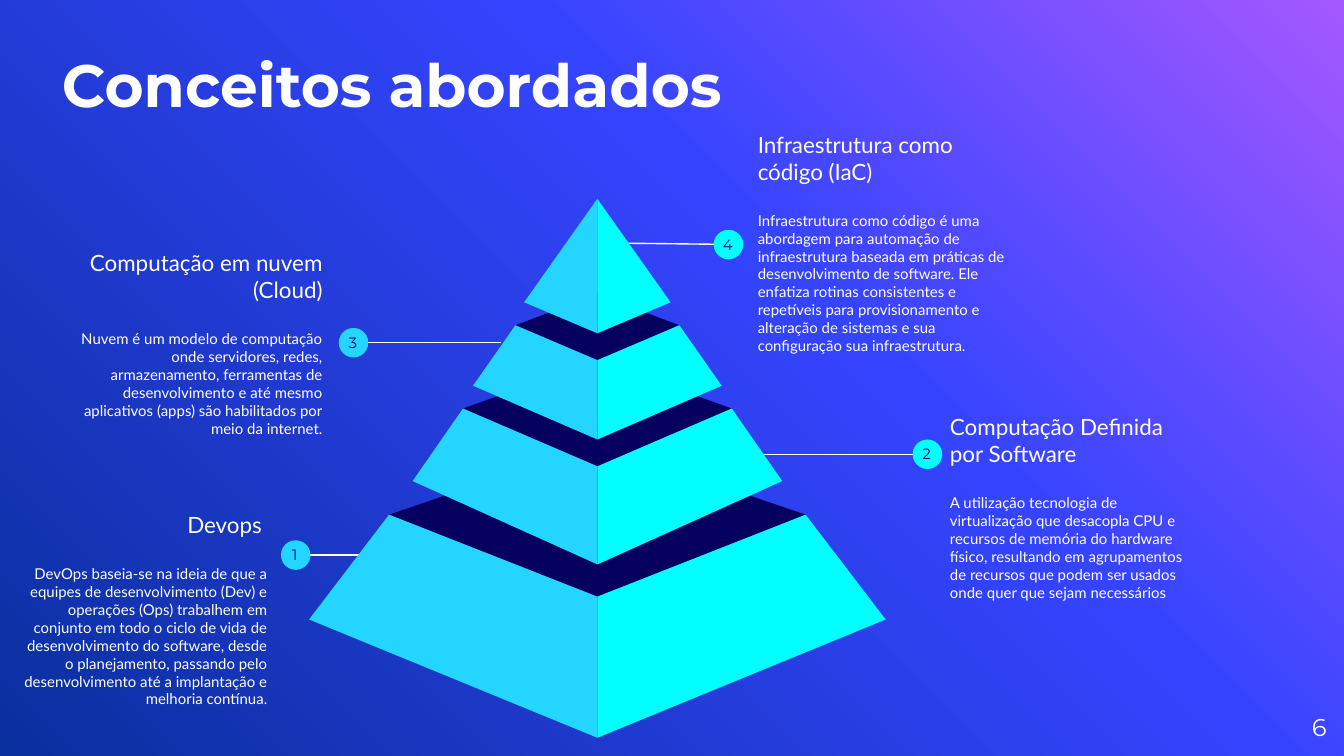
import copy

import pptx
import pptx.dml.color
import pptx.enum.shapes
import pptx.enum.text
import pptx.oxml
import pptx.oxml.ns
import pptx.util

Inches = pptx.util.Inches
Pt = pptx.util.Pt
RGBColor = pptx.dml.color.RGBColor
ALIGN = pptx.enum.text.PP_ALIGN
ANCHOR = pptx.enum.text.MSO_ANCHOR

WHITE = RGBColor(0xFF, 0xFF, 0xFF)
SKY = RGBColor(0x24, 0xD6, 0xFF)
CYAN = RGBColor(0x00, 0xFF, 0xFF)
NAVY = RGBColor(0x05, 0x00, 0x60)
SHADES = [
    (0, RGBColor(0xA4, 0x58, 0xFF)),
    (0.39, RGBColor(0x35, 0x44, 0xFF)),
    (1, RGBColor(0x0A, 0x2F, 0x9E)),
]

NOTES = [
    dict(box=(0.05, 3.78, 2.04, 1.51), num="1", dot=(2.04, 0.24), tip=(3.26, 0.35), left=True,
         head="Devops ",
         body="DevOps baseia-se na ideia de que a equipes de desenvolvimento (Dev) e operações (Ops) "
              "trabalhem em conjunto em todo o ciclo de vida de desenvolvimento do software, desde o "
              "planejamento, passando pelo desenvolvimento até a implantação e melhoria contínua."),
    dict(box=(6.97, 3.02, 2.04, 1.51), num="2", dot=(-0.18, 0.25), tip=(-1.96, 0.36), left=False,
         head="Computação Definida por Software",
         body="A utilização tecnologia de virtualização que desacopla CPU e recursos de memória do "
              "hardware físico, resultando em agrupamentos de recursos que podem ser usados onde quer "
              "que sejam necessários"),
    dict(box=(0.46, 1.8, 2.04, 1.51), num="3", dot=(2.06, 0.64), tip=(3.27, 0.75), left=True,
         head="Computação em nuvem (Cloud)",
         body="Nuvem é um modelo de computação onde servidores, redes, armazenamento, ferramentas de "
              "desenvolvimento e até mesmo aplicativos (apps) são habilitados por meio da internet."),
    dict(box=(5.54, 1.05, 2.04, 1.51), num="4", dot=(-0.23, 0.66), tip=(-0.87, 0.76), left=False,
         head="Infraestrutura como código (IaC)",
         body="Infraestrutura como código é uma abordagem para automação de infraestrutura baseada em "
              "práticas de desenvolvimento de software. Ele enfatiza rotinas consistentes e repetíveis "
              "para provisionamento e alteração de sistemas e sua configuração sua infraestrutura."),
]

TIERS = [
    dict(box=(2.3, 3.3, 4.29, 2.19), rim=1.55, side=0.53, front=1.14, foot=1.31),
    dict(box=(3.07, 2.68, 2.75, 1.52), rim=1, side=0.36, front=0.79, foot=0.9),
    dict(box=(3.52, 2.19, 1.85, 1.08), rim=0.61, side=0.23, front=0.49, foot=0.68),
    dict(box=(3.9, 1.48, 1.09, 1), rim=0, side=0, front=0, foot=0.77),
]


def write(frame, text, font="Lato", size=8, tint=WHITE, bold=False, align=ALIGN.LEFT, before=0, after=0):
    """Add one formatted paragraph to a text frame."""
    para = frame.paragraphs[0] if not frame.text else frame.add_paragraph()
    para.alignment = align
    para.space_before, para.space_after = Pt(before), Pt(after)
    run = para.add_run()
    run.text = text
    run.font.name, run.font.size, run.font.bold = font, Pt(size), bold
    run.font.color.rgb = tint


def setup(frame, inset=0, anchor=ANCHOR.MIDDLE):
    """Set the insets, anchor and wrapping of a text frame."""
    frame.margin_left = frame.margin_right = Inches(inset)
    frame.margin_top = frame.margin_bottom = Inches(inset)
    frame.vertical_anchor = anchor
    frame.auto_size = pptx.enum.text.MSO_AUTO_SIZE.NONE
    frame.word_wrap = True
    return frame


def paint(shape, tint):
    """Give a shape a flat fill with no outline or shadow."""
    shape.shadow.inherit = False
    shape.fill.solid()
    shape.fill.fore_color.rgb = tint
    shape.line.fill.background()


def backdrop(slide):
    """Fill the slide background with the diagonal gradient."""
    fill = slide.background.fill
    fill.gradient()
    fill.gradient_angle = 225
    first = next(slide.element.iter(pptx.oxml.ns.qn("a:gs")))
    first.addnext(copy.deepcopy(first))
    for stop, (place, tint) in zip(fill.gradient_stops, SHADES):
        stop.position = place
        stop.color.rgb = tint


def header(slide, box):
    """Place the slide title."""
    title = slide.shapes.title
    title.left, title.top, title.width, title.height = map(Inches, box)
    frame = setup(title.text_frame, anchor=ANCHOR.BOTTOM)
    write(frame, "Conceitos abordados", font="Montserrat", size=32, bold=True)


def footer(slide, box):
    """Place the page number."""
    label = slide.shapes.add_textbox(*map(Inches, box))
    write(setup(label.text_frame), "6", font="Montserrat", size=13, align=ALIGN.RIGHT)


def badge(slide, box, num, tint):
    """Place a coloured dot with its number over it."""
    x, y, w, h = box
    disc = slide.shapes.add_shape(pptx.enum.shapes.MSO_SHAPE.OVAL, *map(Inches, box))
    paint(disc, tint)
    label = slide.shapes.add_textbox(*map(Inches, (x - 0.03, y - 0.06, w + 0.05, h + 0.12)))
    frame = setup(label.text_frame, inset=0.1, anchor=ANCHOR.TOP)
    write(frame, num, font="Montserrat", tint=NAVY, align=ALIGN.CENTER, after=16)


def note(slide, box, num, dot, tip, left, head, body):
    """Place a text block with its numbered dot and leader line."""
    x, y, w, h = box
    dot_x, dot_y = x + dot[0], y + dot[1]
    end_x = dot_x + (0.07 if left else 0.21)
    line = slide.shapes.add_connector(
        pptx.enum.shapes.MSO_CONNECTOR.STRAIGHT,
        Inches(x + tip[0]), Inches(y + tip[1]), Inches(end_x), Inches(dot_y + 0.11))
    line.line.color.rgb = WHITE
    line.line.width = Pt(0.75)
    props = line._element.spPr
    props.append(pptx.oxml.parse_xml(f"<a:effectLst {pptx.oxml.ns.nsdecls('a')}/>"))

    label = slide.shapes.add_textbox(*map(Inches, box))
    frame = setup(label.text_frame, inset=0.1)
    align = ALIGN.RIGHT if left else ALIGN.LEFT
    write(frame, head, size=12, align=align)
    write(frame, body, align=align, before=14.4, after=16)
    badge(slide, (dot_x, dot_y, 0.22, 0.22), num, SKY if left else CYAN)


def facet(slide, points, tint):
    """Draw one closed, filled polygon."""
    start, *rest = [(Inches(x), Inches(y)) for x, y in points]
    build = slide.shapes.build_freeform(*start)
    build.add_line_segments(rest, close=True)
    paint(build.convert_to_shape(), tint)


def tier(slide, box, rim, side, front, foot):
    """Draw one pyramid tier: a dark lid and two mirrored faces."""
    x, y, w, h = box
    mid = x + w / 2
    if rim:
        facet(slide, [(mid - rim, y + side), (mid, y + front), (mid + rim, y + side), (mid, y)], NAVY)
    for sign, tint in ((-1, SKY), (1, CYAN)):
        points = [(mid, y + front), (mid + sign * w / 2, y + foot), (mid, y + h)]
        if rim:
            points.insert(1, (mid + sign * rim, y + side))
        facet(slide, points, tint)


def main():
    """Build the slide and save it."""
    deck = pptx.Presentation()
    deck.slide_width = Inches(10)
    deck.slide_height = deck.slide_width * 9 // 16
    slide = deck.slides.add_slide(deck.slide_layouts[5])
    backdrop(slide)
    header(slide, (0.46, -0.05, 6.58, 0.94))
    footer(slide, (9.27, 5.19, 0.6, 0.43))
    for item in NOTES:
        note(slide, **item)
    for item in TIERS:
        tier(slide, **item)
    deck.save("out.pptx")


if __name__ == "__main__":
    main()
